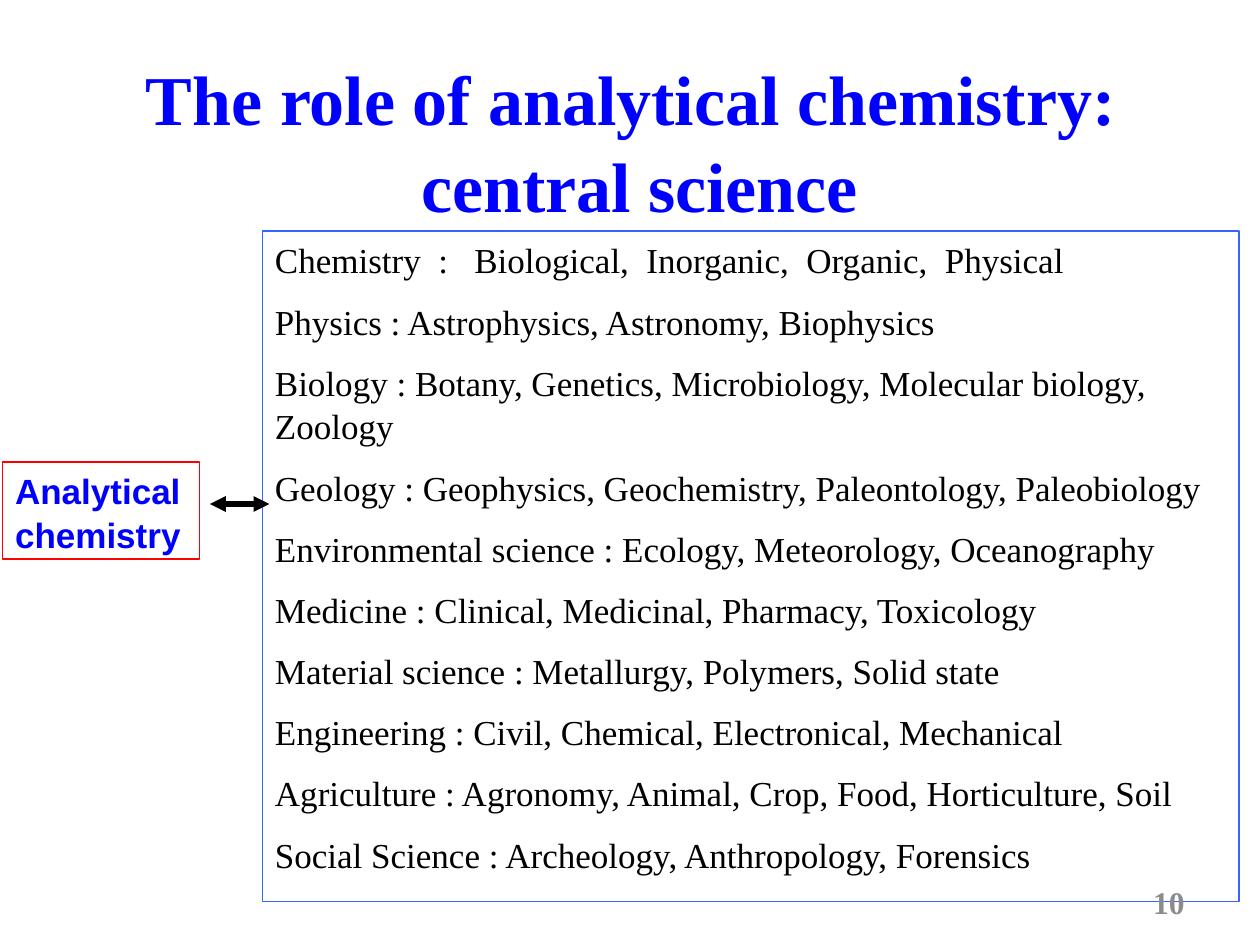
from lxml.etree import SubElement
from pptx import Presentation
from pptx.dml.color import RGBColor
from pptx.enum.shapes import MSO_CONNECTOR as CONN, MSO_SHAPE as SHAPE
from pptx.enum.text import MSO_ANCHOR as ANCHOR, PP_ALIGN as ALIGN
from pptx.oxml.ns import qn
from pptx.util import Pt

FIELDS = [
    "Chemistry  :   Biological,  Inorganic,  Organic,  Physical",
    "Physics : Astrophysics, Astronomy, Biophysics",
    "Biology : Botany, Genetics, Microbiology, Molecular biology, Zoology",
    "Geology : Geophysics, Geochemistry, Paleontology, Paleobiology",
    "Environmental science : Ecology, Meteorology, Oceanography",
    "Medicine : Clinical, Medicinal, Pharmacy, Toxicology",
    "Material science : Metallurgy, Polymers, Solid state",
    "Engineering : Civil, Chemical, Electronical, Mechanical",
    "Agriculture : Agronomy, Animal, Crop, Food, Horticulture, Soil",
    "Social Science : Archeology, Anthropology, Forensics",
]


def rgb(value):
    return RGBColor.from_string(value)


class Deck:
    """Holds the style and the current slide, and draws each kind of element."""

    serif = "Times New Roman"
    sans = "Arial"
    blue = "0000FF"
    black = "000000"
    grey = "8C8C8C"
    leading = 1.04

    def __init__(self, prs):
        self.s = prs.slides.add_slide(prs.slide_layouts[6])

    def fill_text(self, sp, lines, size, color, font=serif, bold=False,
                  align=ALIGN.LEFT, anchor=ANCHOR.TOP, gap=0):
        tf = sp.text_frame
        tf.word_wrap = True
        tf.vertical_anchor = anchor
        for i, line in enumerate(lines):
            p = tf.paragraphs[0] if i == 0 else tf.add_paragraph()
            p.alignment = align
            p.line_spacing = self.leading
            if i and gap:
                p.space_before = Pt(gap)
            r = p.add_run()
            r.text = line
            r.font.name = font
            r.font.size = Pt(size)
            r.font.bold = bold
            r.font.color.rgb = rgb(color)

    def text(self, box, lines, size, color, **style):
        sp = self.s.shapes.add_textbox(*map(Pt, box))
        self.fill_text(sp, lines, size, color, **style)

    def frame(self, box, line, lines, size, color, **style):
        sp = self.s.shapes.add_shape(SHAPE.RECTANGLE, *map(Pt, box))
        sp.shadow.inherit = False
        sp.fill.background()
        sp.line.color.rgb = rgb(line)
        sp.line.width = Pt(0.75)
        self.fill_text(sp, lines, size, color, **style)

    def double_arrow(self, x1, x2, y, width):
        cx = self.s.shapes.add_connector(CONN.STRAIGHT, Pt(x1), Pt(y), Pt(x2), Pt(y))
        cx.line.color.rgb = rgb(self.black)
        cx.line.width = Pt(width)
        ln = cx._element.spPr.find(qn("a:ln"))
        for end in ("a:headEnd", "a:tailEnd"):
            SubElement(ln, qn(end), type="triangle")
        SubElement(cx._element.spPr, qn("a:effectLst"))


def main():
    prs = Presentation()
    prs.slide_width, prs.slide_height = Pt(720), Pt(540)
    d = Deck(prs)
    d.text((48, 26, 635, 104.4), ["The role of analytical chemistry: ", "central science"],
           40, d.blue, bold=True, align=ALIGN.CENTER)
    d.frame((1.5, 264, 112.5, 55.5), "FF0000", ["Analytical", "chemistry"],
            20, d.blue, font=d.sans, bold=True)
    d.frame((150, 132, 558, 383), "3366FF", FIELDS, 20, d.black, gap=10)
    d.double_arrow(120, 154, 288, 3)
    d.text((516, 500.5, 168, 28.8), ["10"], 18, d.grey,
           bold=True, align=ALIGN.RIGHT, anchor=ANCHOR.MIDDLE)
    prs.save("out.pptx")


if __name__ == "__main__":
    main()
